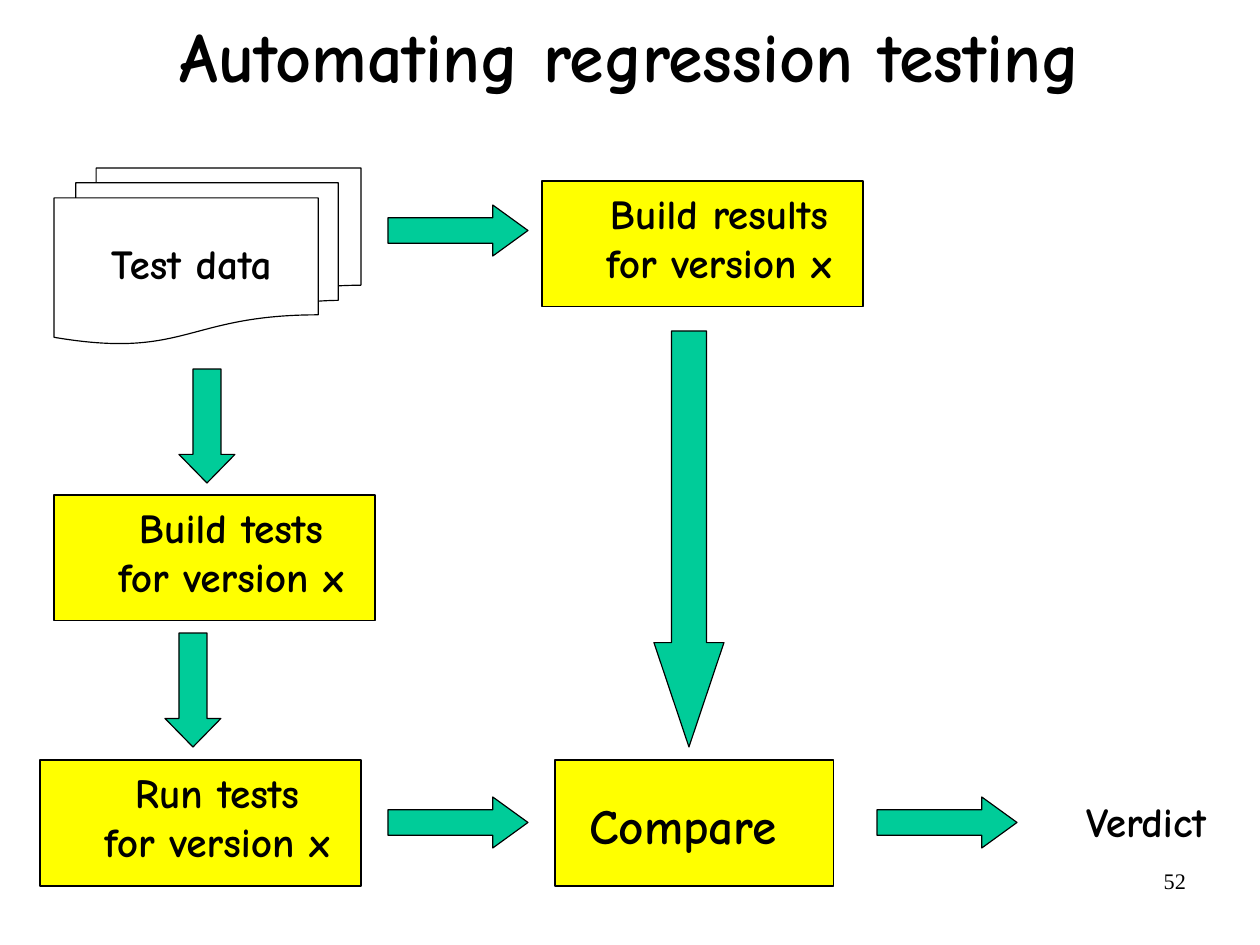
import pptx
import pptx.dml.color
import pptx.enum.shapes
import pptx.enum.text
import pptx.util

SHAPES = pptx.enum.shapes.MSO_SHAPE
ALIGN = pptx.enum.text.PP_ALIGN
ANCHOR = pptx.enum.text.MSO_ANCHOR
COLORS = {"ink": "000000", "step": "FFFF00", "arrow": "00CC99"}
EMU_PER_PX = 8000


def px(length):
    return pptx.util.Emu(length * EMU_PER_PX)


class FlowSlide:
    """Draws the elements of a flow diagram on one slide in a shared style."""

    font = "Comic Neue"
    line_width = 0.75

    def __init__(self, presentation):
        self.slide = presentation.slides.add_slide(presentation.slide_layouts[5])

    def color(self, name):
        return pptx.dml.color.RGBColor.from_string(COLORS[name])

    def set_text(self, shape, text, size, align=ALIGN.CENTER, font=font, bold=True,
                 wrap=False, anchor=ANCHOR.TOP, insets=(13, 7)):
        frame = shape.text_frame
        frame.auto_size = pptx.enum.text.MSO_AUTO_SIZE.NONE
        frame.word_wrap = wrap
        frame.vertical_anchor = anchor
        frame.margin_left = frame.margin_right = px(insets[0])
        frame.margin_top = frame.margin_bottom = px(insets[1])
        paragraph = frame.paragraphs[0]
        paragraph.text = text
        paragraph.alignment = align
        for run in paragraph.runs:
            run.font.name = font
            run.font.size = pptx.util.Pt(size)
            run.font.bold = bold
            run.font.color.rgb = self.color("ink")
        return paragraph

    def title(self, text, left, top, width, height):
        title = self.slide.shapes.title
        title.left, title.top = px(left), px(top)
        title.width, title.height = px(width), px(height)
        paragraph = self.set_text(title, text, 44, wrap=True, anchor=ANCHOR.MIDDLE)
        paragraph.line_spacing = 0.88

    def text(self, text, left, top, width, height, size=26, **style):
        box = self.slide.shapes.add_textbox(px(left), px(top), px(width), px(height))
        self.set_text(box, text, size, **style)

    def shape(self, kind, left, top, width, height, fill=None):
        shape = self.slide.shapes.add_shape(
            kind, px(left), px(top), px(width), px(height))
        shape.shadow.inherit = False
        if fill:
            shape.fill.solid()
            shape.fill.fore_color.rgb = self.color(fill)
        else:
            shape.fill.background()
        shape.line.color.rgb = self.color("ink")
        shape.line.width = pptx.util.Pt(self.line_width)
        return shape

    def step(self, text, left, top):
        self.shape(SHAPES.RECTANGLE, left, top, 321, 126, "step")
        self.text(text, left + 51, top, 267, 112)

    def arrow(self, kind, left, top, width, height, head):
        arrow = self.shape(kind, left, top, width, height, "arrow")
        arrow.adjustments[0] = 0.5
        arrow.adjustments[1] = head

    def right_arrow(self, left, top):
        self.arrow(SHAPES.RIGHT_ARROW, left, top, 140, 51, 0.69)

    def down_arrow(self, left, top):
        self.arrow(SHAPES.DOWN_ARROW, left, top, 56, 114, 0.51)


def main():
    presentation = pptx.Presentation()
    presentation.slide_width = px(1260)
    presentation.slide_height = px(945)
    flow = FlowSlide(presentation)

    flow.title("Automating regression testing", 63, -62, 1134, 245)
    flow.text("52", 903, 861, 294, 65, size=14, align=ALIGN.RIGHT,
              font="Times New Roman", bold=False, wrap=True, insets=(11, 6))

    flow.shape(SHAPES.FLOWCHART_MULTIDOCUMENT, 54, 168, 307, 176)
    flow.text("Test data", 81, 231, 221, 62, wrap=True)

    flow.step("Build tests \vfor version x ", 54, 495)
    flow.step("Run tests \vfor version x ", 40, 760)
    flow.step("Build results \vfor version x ", 542, 181)

    flow.shape(SHAPES.RECTANGLE, 555, 760, 279, 126, "step")
    flow.text("Compare ", 576, 788, 231, 72, size=31)
    flow.text("Verdict ", 1072, 789, 163, 62)

    for left, top in ((179, 369), (165, 633)):
        flow.down_arrow(left, top)
    for left, top in ((388, 205), (388, 797), (877, 797)):
        flow.right_arrow(left, top)
    flow.arrow(SHAPES.DOWN_ARROW, 654, 331, 70, 416, 1.49)

    presentation.save("out.pptx")


if __name__ == "__main__":
    main()
